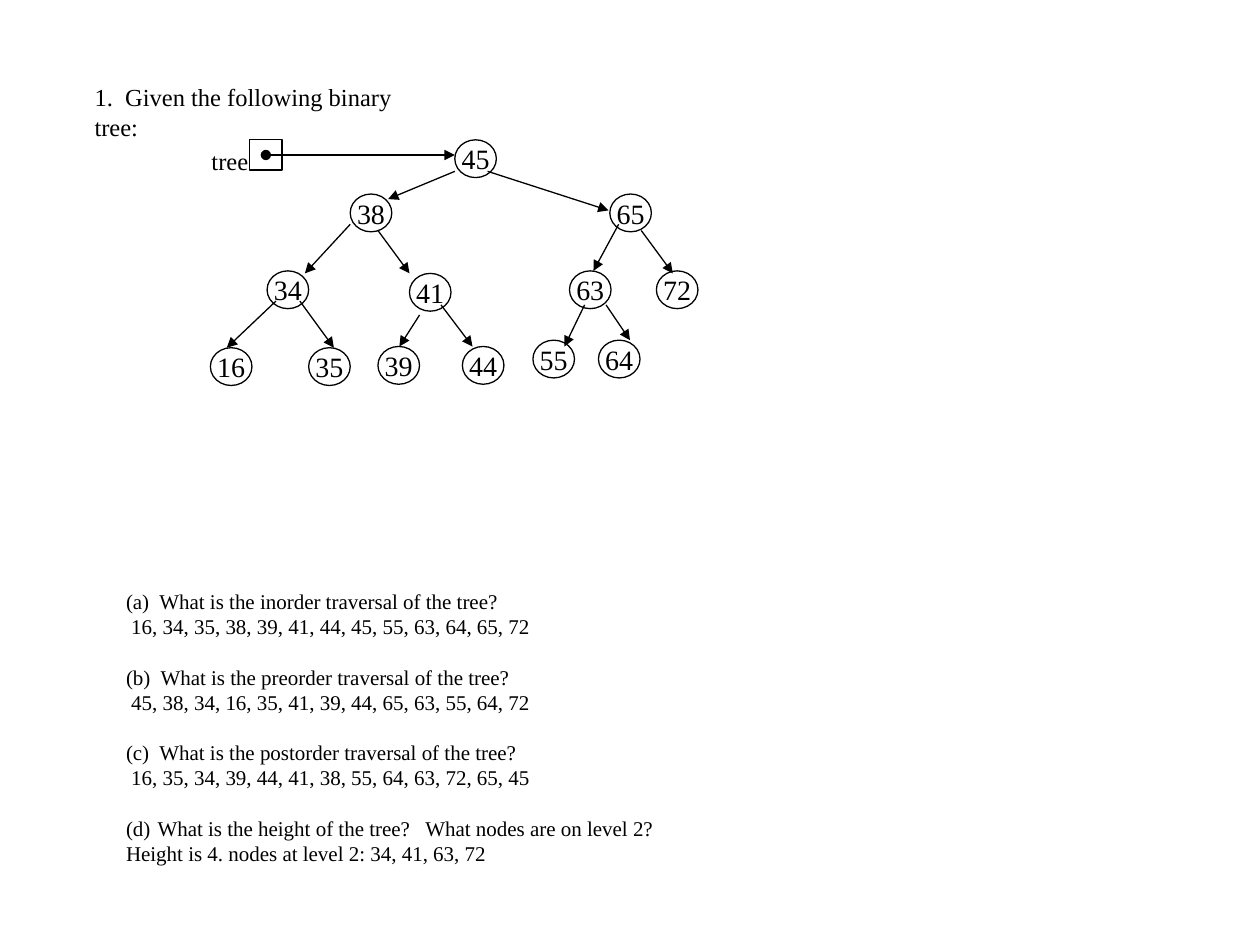
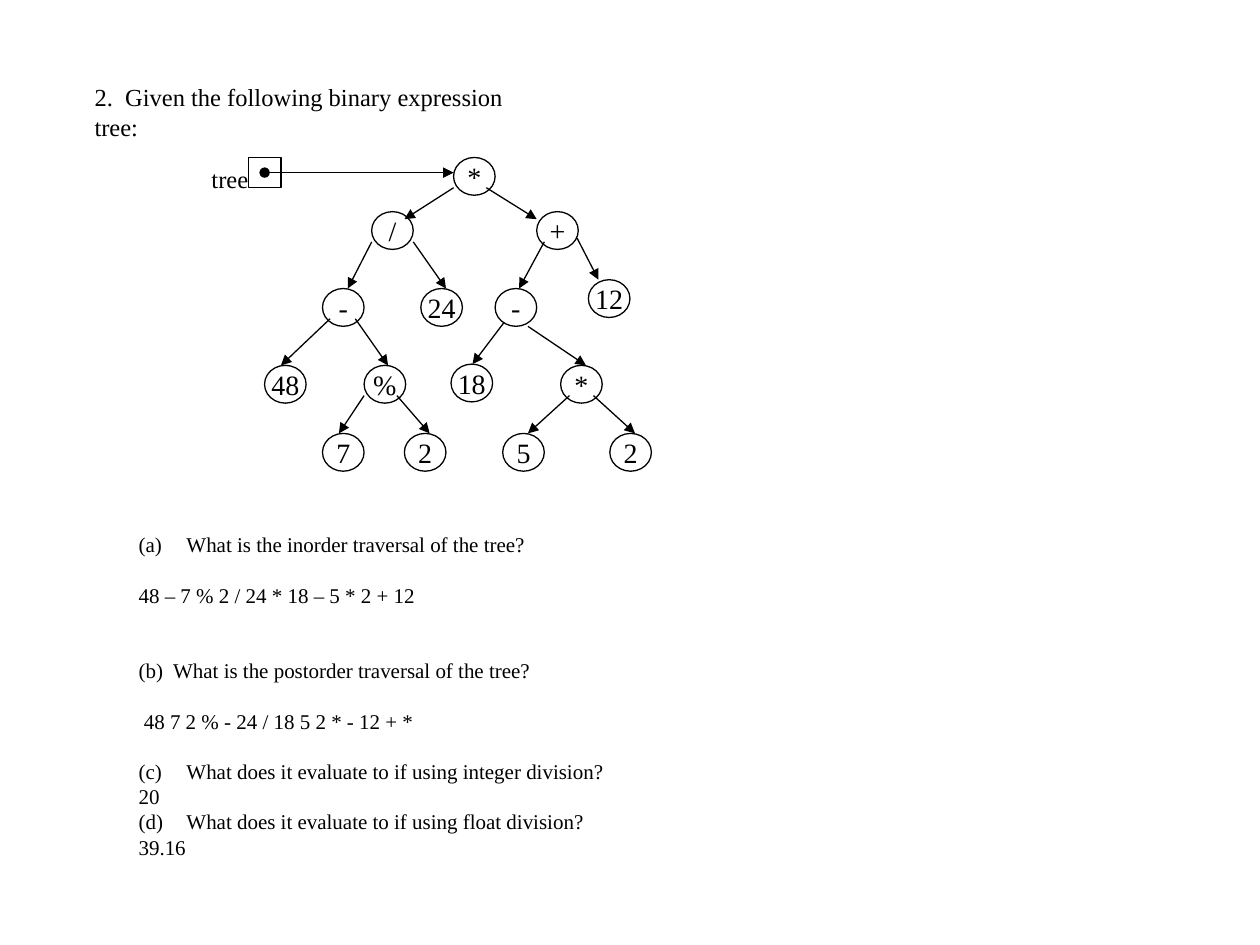
"""Build two binary tree exercises, each with a drawn tree and its questions."""
import pptx
import pptx.dml.color
import pptx.enum.shapes
import pptx.enum.text
import pptx.oxml.ns
import pptx.util
from lxml import etree

Inches, Pt = pptx.util.Inches, pptx.util.Pt
qn = pptx.oxml.ns.qn
rgb = pptx.dml.color.RGBColor.from_string
ALIGN = pptx.enum.text.PP_ALIGN
ANCHOR = pptx.enum.text.MSO_ANCHOR
SHAPE = pptx.enum.shapes.MSO_SHAPE
STRAIGHT = pptx.enum.shapes.MSO_CONNECTOR.STRAIGHT

FONT = "Times New Roman"
INK = "000000"
NODE_W, NODE_H = 0.33, 0.3
BOX_W, BOX_H = 0.26, 0.24
LINE = 14.4


def write(p, text, size=12, align=ALIGN.LEFT, spacing=None, gap=0, number=None, indent=0):
    """Put formatted text in a paragraph, with an optional letter such as (a) before it."""
    r = p.add_run()
    r.text = text
    r.font.name, r.font.size = FONT, Pt(size)
    r.font.color.rgb = rgb(INK)
    p.alignment = align
    p.space_before = Pt(gap)
    if spacing:
        p.line_spacing = Pt(spacing)
    pPr = p._p.get_or_add_pPr()
    pPr.set("marL", str(Inches(indent)))
    pPr.set("indent", str(-Inches(indent)))
    if number:
        etree.SubElement(pPr, qn("a:buAutoNum"), type="alphaLcParenBoth", startAt=str(number))
    else:
        etree.SubElement(pPr, qn("a:buNone"))


def outline(sp, head=None, tail=None):
    """Give a shape or connector the thin line, without shadow, with optional ends."""
    sp.line.color.rgb = rgb(INK)
    sp.line.width = Pt(0.75)
    ln = sp.line._get_or_add_ln()
    for tag, end in (("a:headEnd", head), ("a:tailEnd", tail)):
        if end:
            etree.SubElement(ln, qn(tag), type=end)
    etree.SubElement(sp._element.spPr, qn("a:effectLst"))


# Each node: label, left, top, then the start and end of the arrow that leads to it.
slides = [
    dict(
        title="1.  Given the following binary tree:",
        title_w=2.9,
        body_at=(0.9, 4.62, 5.29, 2.32),
        box=(1.98, 1.11),
        nodes=[
            ("45", 3.61, 1.11, 2.11, 1.23, 3.61, 1.23),
            ("38", 2.78, 1.54, 3.61, 1.36, 3.08, 1.58),
            ("65", 4.84, 1.54, 3.87, 1.36, 4.83, 1.67),
            ("34", 2.12, 2.15, 2.78, 1.78, 2.42, 2.17),
            ("41", 3.25, 2.17, 3, 1.83, 3.25, 2.17),
            ("63", 4.52, 2.15, 4.91, 1.78, 4.71, 2.15),
            ("72", 5.21, 2.15, 5.09, 1.83, 5.34, 2.17),
            ("16", 1.67, 2.76, 2.19, 2.39, 1.8, 2.76),
            ("35", 2.45, 2.76, 2.38, 2.39, 2.65, 2.76),
            ("39", 3, 2.75, 3.33, 2.5, 3.17, 2.75),
            ("44", 3.67, 2.75, 3.5, 2.42, 3.75, 2.75),
            ("55", 4.23, 2.7, 4.64, 2.42, 4.48, 2.75),
            ("64", 4.75, 2.7, 4.81, 2.42, 5, 2.7),
        ],
        body=[
            ("(a)  What is the inorder traversal of the tree?", {}),
            (" 16, 34, 35, 38, 39, 41, 44, 45, 55, 63, 64, 65, 72", {}),
            ("(b)  What is the preorder traversal of the tree?", dict(gap=LINE)),
            (" 45, 38, 34, 16, 35, 41, 39, 44, 65, 63, 55, 64, 72", {}),
            ("(c)  What is the postorder traversal of the tree?", dict(gap=LINE)),
            (" 16, 35, 34, 39, 44, 41, 38, 55, 64, 63, 72, 65, 45", {}),
            ("What is the height of the tree?   What nodes are on level 2?",
             dict(gap=LINE, number=4, indent=0.25)),
            ("Height is 4. nodes at level 2: 34, 41, 63, 72", {}),
        ],
    ),
    dict(
        title="2.  Given the following binary expression tree:",
        title_w=3.75,
        body_at=(1, 4.17, 3.94, 3.13),
        box=(1.97, 1.25),
        nodes=[
            ("*", 3.6, 1.25, 2.1, 1.37, 3.6, 1.37),
            ("/", 2.95, 1.68, 3.6, 1.49, 3.21, 1.74),
            ("+", 4.26, 1.68, 3.86, 1.49, 4.26, 1.74),
            ("-", 2.56, 2.29, 2.95, 1.92, 2.76, 2.29),
            ("24", 3.34, 2.29, 3.28, 1.92, 3.54, 2.29),
            ("-", 3.93, 2.29, 4.32, 1.92, 4.12, 2.29),
            ("12", 4.67, 2.22, 4.58, 1.89, 4.75, 2.22),
            ("48", 2.1, 2.9, 2.62, 2.53, 2.23, 2.9),
            ("%", 2.89, 2.9, 2.82, 2.53, 3.08, 2.9),
            ("18", 3.58, 2.89, 4, 2.56, 3.75, 2.89),
            ("*", 4.45, 2.9, 4.19, 2.59, 4.65, 2.9),
            ("7", 2.56, 3.44, 2.89, 3.14, 2.69, 3.44),
            ("2", 3.21, 3.44, 3.15, 3.14, 3.41, 3.44),
            ("5", 3.99, 3.44, 4.52, 3.14, 4.19, 3.44),
            ("2", 4.84, 3.44, 4.71, 3.14, 5.04, 3.44),
        ],
        body=[
            ("What is the inorder traversal of the tree?", dict(number=1, indent=0.38)),
            ("48 – 7 % 2 / 24 * 18 – 5 * 2 + 12", dict(gap=LINE)),
            ("(b)  What is the postorder traversal of the tree?", dict(gap=2 * LINE)),
            (" 48 7 2 % - 24 / 18 5 2 * - 12 + *", dict(gap=LINE)),
            ("What does it evaluate to if using integer division?",
             dict(gap=LINE, number=3, indent=0.38)),
            ("20", {}),
            ("What does it evaluate to if using float division?", dict(number=4, indent=0.38)),
            ("39.16", {}),
        ],
    ),
]

prs = pptx.Presentation()
prs.slide_width, prs.slide_height = Inches(10), Inches(7.5)

for data in slides:
    s = prs.slides.add_slide(prs.slide_layouts[1])
    title, body = s.shapes.title, s.placeholders[1]
    places = ((title, (0.65, 0.6, data["title_w"], 0.58)), (body, data["body_at"]))
    for sp, at in places:
        sp.left, sp.top, sp.width, sp.height = map(Inches, at)
        tf = sp.text_frame
        tf.word_wrap = True
        tf.auto_size = pptx.enum.text.MSO_AUTO_SIZE.NONE
        tf.vertical_anchor = ANCHOR.TOP
    write(title.text_frame.paragraphs[0], data["title"], size=14, spacing=17)
    tf = body.text_frame
    for i, (text, style) in enumerate(data["body"]):
        p = tf.add_paragraph() if i else tf.paragraphs[0]
        write(p, text, spacing=LINE, **style)

    tree = s.shapes.add_group_shape().shapes
    box_x, box_y = data["box"]
    sp = tree.add_shape(SHAPE.RECTANGLE, Inches(box_x), Inches(box_y), Inches(BOX_W), Inches(BOX_H))
    sp.fill.background()
    outline(sp)
    sp = tree.add_textbox(Inches(1.58), Inches(box_y), Inches(0.49), Inches(0.33))
    sp.text_frame.word_wrap = False
    write(sp.text_frame.paragraphs[0], "tree", size=14)

    for i, (label, x, y, *arrow) in enumerate(data["nodes"]):
        sp = tree.add_shape(SHAPE.OVAL, Inches(x), Inches(y), Inches(NODE_W), Inches(NODE_H))
        sp.fill.background()
        outline(sp)
        tf = sp.text_frame
        tf.word_wrap = False
        tf.vertical_anchor = ANCHOR.MIDDLE
        tf.margin_left = tf.margin_right = tf.margin_top = tf.margin_bottom = 0
        write(tf.paragraphs[0], label, size=16, align=ALIGN.CENTER)
        sp = tree.add_connector(STRAIGHT, *map(Inches, arrow))
        outline(sp, head=None if i else "oval", tail="triangle")

prs.save("out.pptx")
